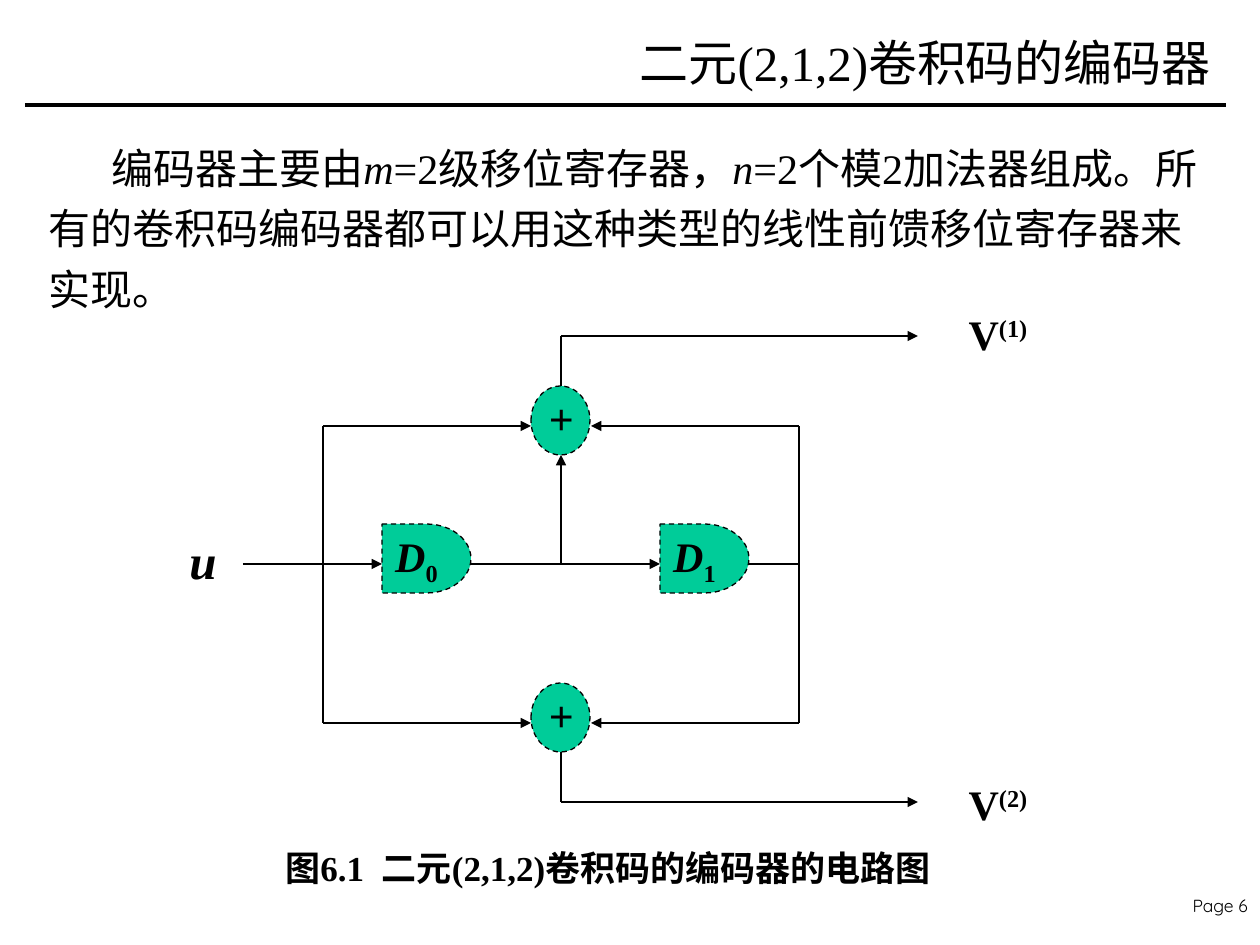
"""Build the slide on the binary (2,1,2) convolutional encoder."""
import pptx
import pptx.util
import pptx.dml.color
import pptx.enum.dml
import pptx.enum.shapes
import pptx.enum.text
import pptx.oxml
import pptx.oxml.ns

PX = 914400 / 126
COLORS = {"ink": "000000", "block": "00CC99", "paper": "FFFFFF"}
SERIF, SANS, CJK, SMALL = "Times New Roman", "Arial", "Noto Sans CJK SC", "Quicksand"
SHAPE = pptx.enum.shapes.MSO_SHAPE
ALIGN = pptx.enum.text.PP_ALIGN
ANCHOR = pptx.enum.text.MSO_ANCHOR

TITLE = [("二元", CJK, ""), ("(2,1,2)卷积", SERIF, ""), ("码的编码器", CJK, "")]
BODY = [
    ("编码器主要由", SERIF, ""), ("m", SERIF, "i"), ("=2级移位寄存器，", SERIF, ""),
    ("n", SERIF, "i"), ("=2个模2加法器组成。", SERIF, ""),
    ("所有的卷积码编码器都可以用这种类型的线性前馈移位寄存器来实现。", CJK, ""),
]
CAPTION = [("图6.1  二元(2,1,2)卷积码的编码器的电路图", SERIF, "b")]
PAGE = [("Page 6", SMALL, "")]
INPUT = [("u", SERIF, "bi")]

LEFT, MID, RIGHT = 323, 561, 799
AXIS = 564
INPUT_X, OUTPUT_X = 243, 918
ADDER_W, DELAY_W, BLOCK_H = 59, 89, 69
DELAY_TOP = 524
DELAYS = [(382, "0"), (660, "1")]
ADDERS = [
    {"top": 386, "feed": 426, "out": 336, "exit": 386, "label": 302, "name": "(1)"},
    {"top": 683, "feed": 723, "out": 802, "exit": 752, "label": 772, "name": "(2)"},
]

prs = pptx.Presentation()
prs.slide_width = pptx.util.Inches(10)
prs.slide_height = pptx.util.Inches(7.5)
s = prs.slides.add_slide(prs.slide_layouts[6])


def px(*values):
    return [round(v * PX) for v in values]


def rgb(name):
    return pptx.dml.color.RGBColor.from_string(COLORS[name])


def text(box, runs, size, align=ALIGN.CENTER, anchor=ANCHOR.TOP):
    tf = s.shapes.add_textbox(*px(*box)).text_frame
    tf.word_wrap = True
    tf.vertical_anchor = anchor
    p = tf.paragraphs[0]
    p.alignment = align
    for words, font, style in runs:
        r = p.add_run()
        r.text = words
        r.font.size = pptx.util.Pt(size)
        r.font.name = font
        r.font.bold = "b" in style
        r.font.italic = "i" in style
        r.font.color.rgb = rgb("ink")
        rPr = r._r.get_or_add_rPr()
        ea = pptx.oxml.parse_xml(f'<a:ea {pptx.oxml.ns.nsdecls("a")} typeface="{CJK}"/>')
        rPr.find(pptx.oxml.ns.qn("a:latin")).addnext(ea)
        if "^" in style:
            rPr.set("baseline", "30000")
        if "_" in style:
            rPr.set("baseline", "-25000")
    return p


def line(x1, y1, x2, y2, width=1.25, arrow=False):
    sp = s.shapes.add_connector(pptx.enum.shapes.MSO_CONNECTOR.STRAIGHT, *px(x1, y1, x2, y2))
    sp.line.color.rgb = rgb("ink")
    sp.line.width = pptx.util.Pt(width)
    ns = pptx.oxml.ns.nsdecls("a")
    if arrow:
        sp.get_or_add_ln().append(pptx.oxml.parse_xml(f'<a:tailEnd {ns} type="triangle"/>'))
    sp._element.spPr.append(pptx.oxml.parse_xml(f"<a:effectLst {ns}/>"))


def block(kind, x, y, width):
    sp = s.shapes.add_shape(kind, *px(x, y, width, BLOCK_H))
    sp.shadow.inherit = False
    sp.fill.solid()
    sp.fill.fore_color.rgb = rgb("block")
    sp.line.color.rgb = rgb("ink")
    sp.line.width = pptx.util.Pt(0.75)
    sp.line.dash_style = pptx.enum.dml.MSO_LINE.DASH


def main():
    s.background.fill.solid()
    s.background.fill.fore_color.rgb = rgb("paper")
    text((1159, 889, 101, 33), PAGE, 10, ALIGN.RIGHT)
    line(25, 105, 1226, 105, 2)
    text((509, 15, 714, 94), TITLE, 28, ALIGN.RIGHT, ANCHOR.MIDDLE)
    p = text((36, 126, 1180, 195), BODY, 24, ALIGN.LEFT)
    p.line_spacing = 1.2
    pPr = p._p.get_or_add_pPr()
    pPr.set("indent", str(pptx.util.Inches(0.5)))
    pPr.set("hangingPunct", "0")

    for x, index in DELAYS:
        block(SHAPE.FLOWCHART_DELAY, x, DELAY_TOP, DELAY_W)
        text((x - 10, DELAY_TOP, DELAY_W, 63), [("D", SERIF, "bi"), (index, SERIF, "b_")], 24)

    first, second = [x for x, _ in DELAYS]
    line(INPUT_X, AXIS, LEFT, AXIS)
    line(LEFT, AXIS, first, AXIS, 1.5, True)
    line(first + DELAY_W, AXIS, second, AXIS, 1.5, True)
    line(second + DELAY_W, AXIS, RIGHT, AXIS)
    line(MID, AXIS, MID, ADDERS[0]["top"] + BLOCK_H, arrow=True)

    adder_x = MID - ADDER_W // 2 - 1
    for a in ADDERS:
        block(SHAPE.OVAL, adder_x, a["top"], ADDER_W)
        text((adder_x + 1, a["top"], ADDER_W, 63), [("+", SANS, "")], 24)
        for x, edge, width in ((LEFT, adder_x, 1.5), (RIGHT, adder_x + ADDER_W + 1, 1.25)):
            line(x, AXIS, x, a["feed"])
            line(x, a["feed"], edge, a["feed"], width, True)
        line(MID, a["exit"], MID, a["out"])
        line(MID, a["out"], OUTPUT_X, a["out"], 1.5, True)
        text((938, a["label"], 120, 63), [("V", SERIF, "b"), (a["name"], SERIF, "b^")], 24)

    text((143, 524, 120, 72), INPUT, 28)
    text((273, 840, 692, 55), CAPTION, 20, ALIGN.LEFT)
    prs.save("out.pptx")


if __name__ == "__main__":
    main()
